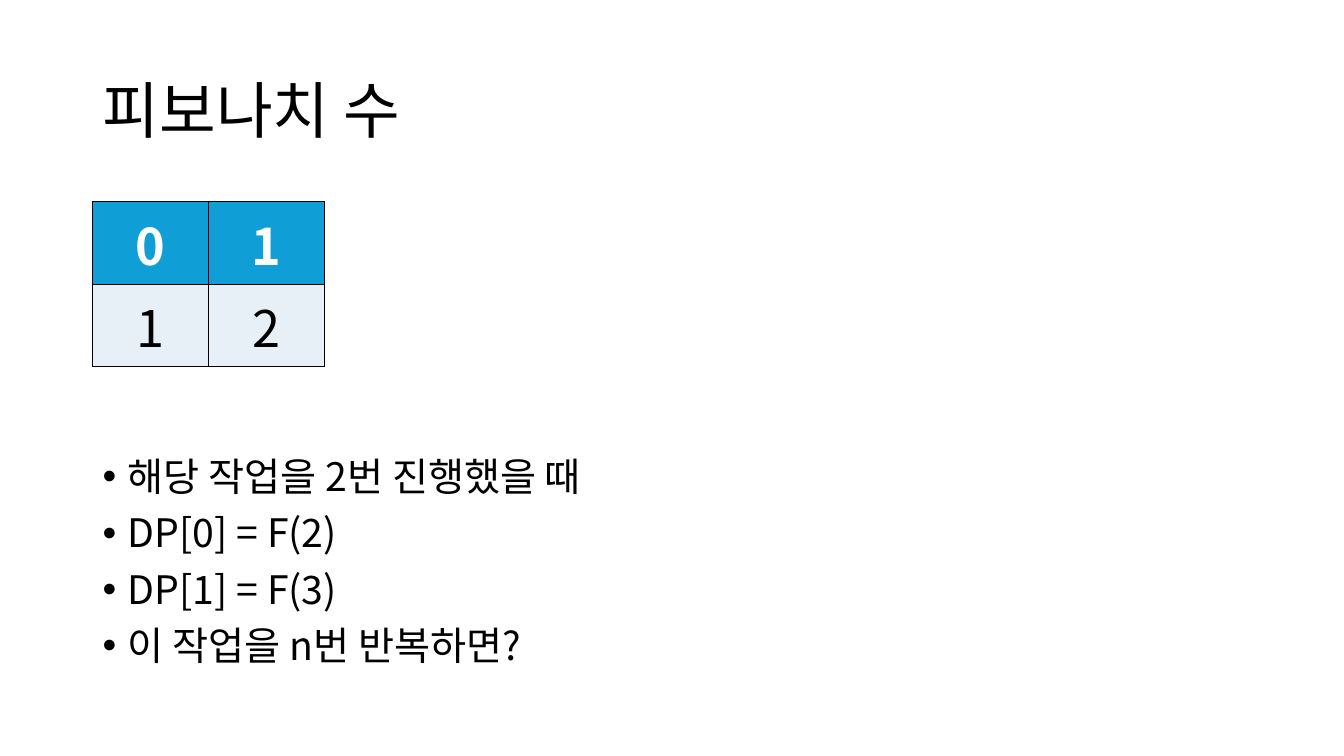
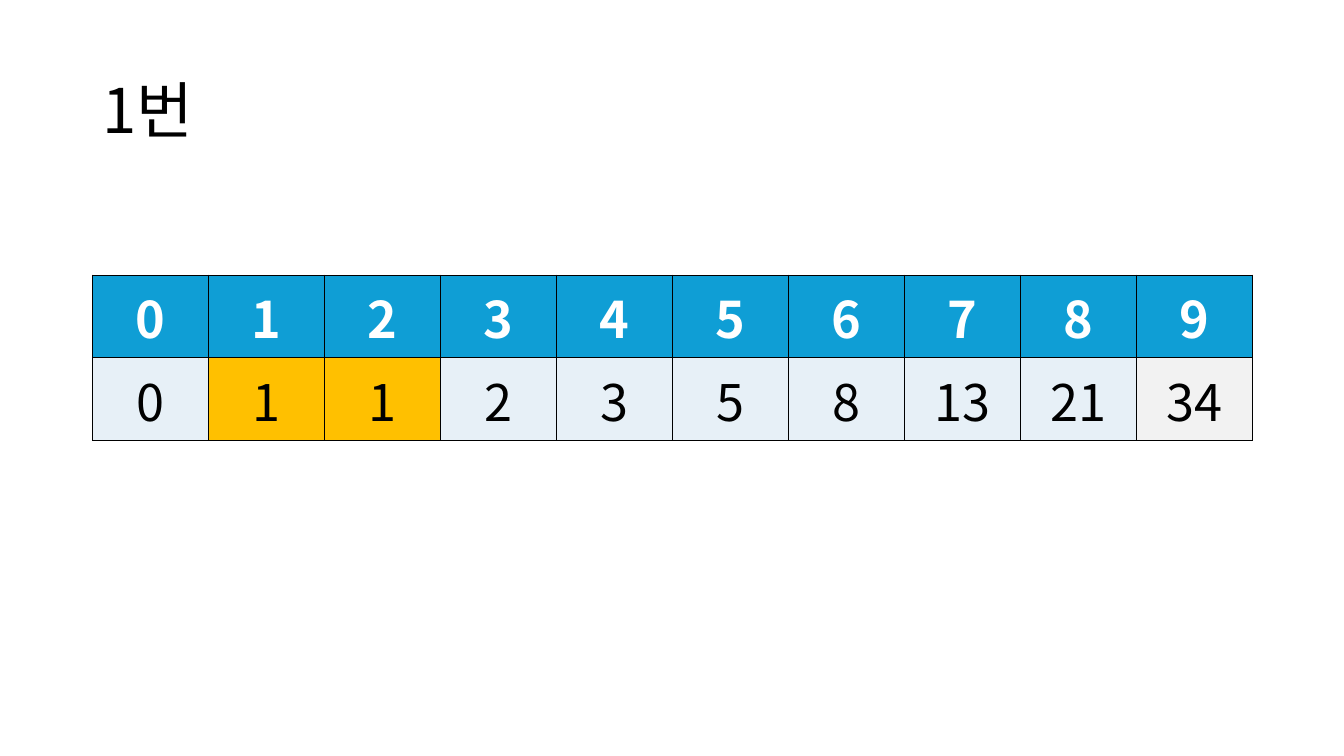
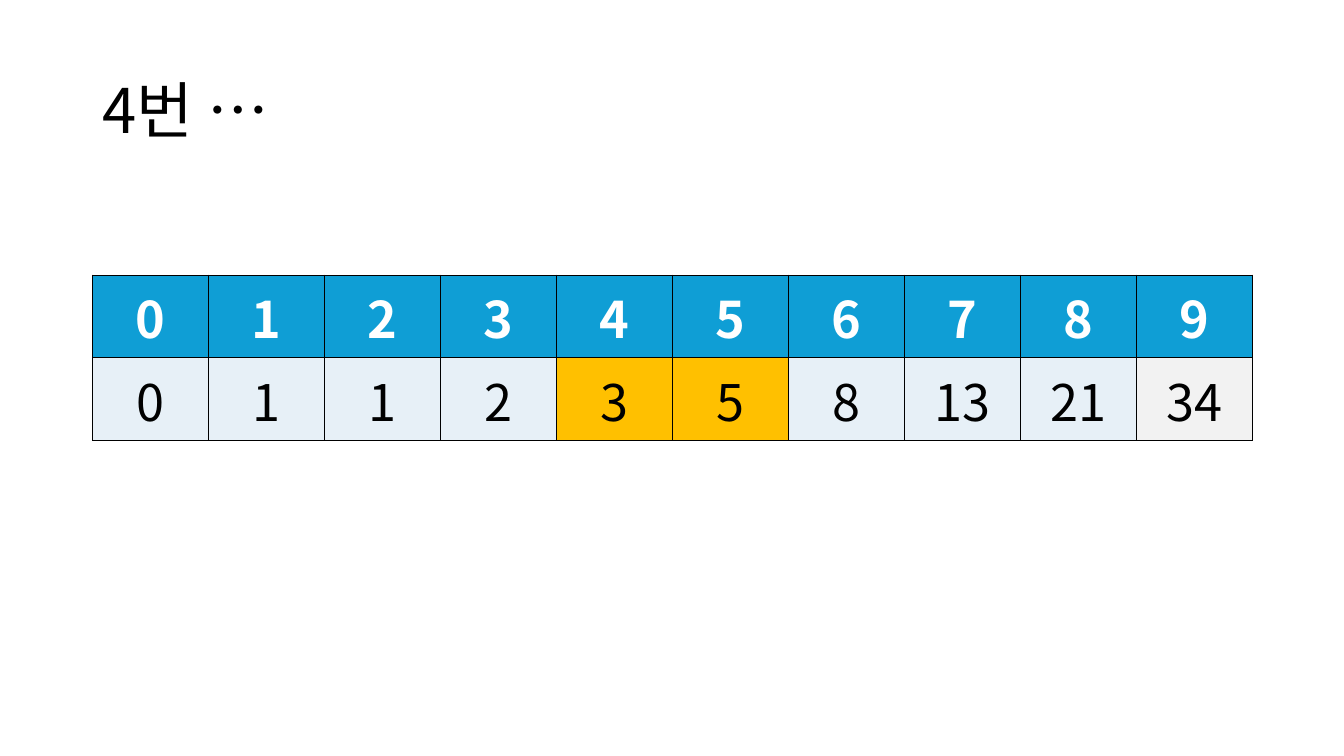
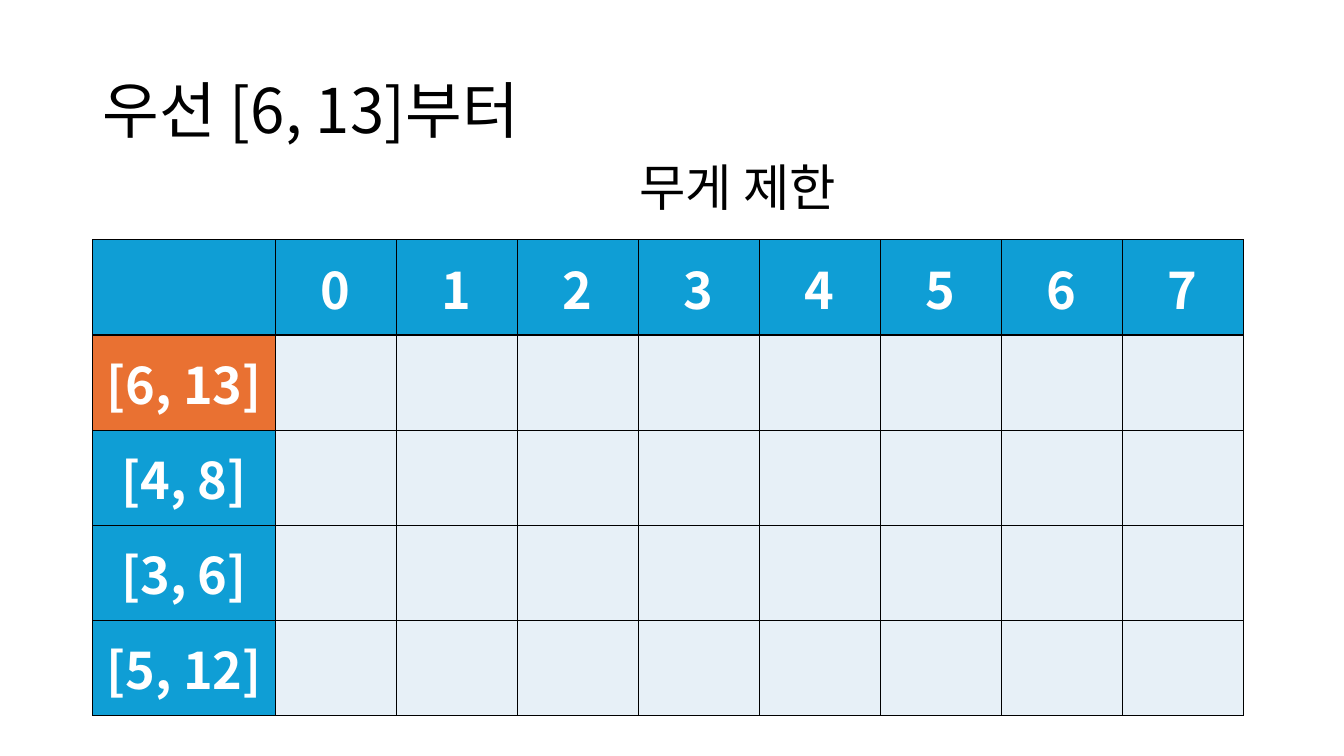
"""Build four slides on Fibonacci and knapsack tables."""
from dataclasses import dataclass, field

from lxml.etree import SubElement
from pptx import Presentation
from pptx.dml.color import RGBColor
from pptx.enum.text import MSO_ANCHOR, MSO_AUTO_SIZE, PP_ALIGN
from pptx.oxml.ns import qn
from pptx.slide import Slide
from pptx.table import _Cell
from pptx.text.text import TextFrame, _Paragraph
from pptx.util import Emu, Inches, Pt

FONT = "Noto Sans CJK KR"
BLACK = RGBColor(0x00, 0x00, 0x00)
WHITE = RGBColor(0xFF, 0xFF, 0xFF)
BLUE = RGBColor(0x0F, 0x9E, 0xD5)
PALE = RGBColor(0xE7, 0xF0, 0xF7)
GREY = RGBColor(0xF2, 0xF2, 0xF2)
GOLD = RGBColor(0xFF, 0xC0, 0x00)
RUST = RGBColor(0xE9, 0x71, 0x32)

WIDE, HIGH = 13.33, 7.5
LEFT = 0.92
SPAN = WIDE - 2 * LEFT
UNIT = 1.15
LINE = 0.82


@dataclass
class Box:
    lines: list[str]
    top: float
    high: float
    left: float = LEFT
    wide: float = SPAN
    size: int = 28
    mid: bool = False
    list: bool = False
    tight: bool = False


@dataclass
class Grid:
    rows: list[list[str]]
    top: float
    high: float = LINE
    col: float = UNIT
    first: float = UNIT
    side: bool = False
    marks: dict[tuple[int, int], RGBColor] = field(default_factory=dict)


@dataclass
class Page:
    title: str
    grid: Grid
    notes: list[Box] = field(default_factory=list)


def style(para: _Paragraph, size: int, ink: RGBColor, bold: bool = False) -> None:
    for run in para.runs:
        font = run.font
        font.size, font.bold, font.name = Pt(size), bold, FONT
        font.color.rgb = ink
        SubElement(run._r.get_or_add_rPr(), qn("a:ea"), typeface=FONT)


def bullet(para: _Paragraph) -> None:
    props = para._p.get_or_add_pPr()
    props.set("marL", str(Inches(0.25)))
    props.set("indent", str(-Inches(0.25)))
    SubElement(props, qn("a:buFont"), typeface="Arial")
    SubElement(props, qn("a:buChar"), char="•")


def fill(frame: TextFrame, box: Box) -> None:
    frame.text = "\n".join(box.lines)
    for num, para in enumerate(frame.paragraphs):
        if box.list:
            bullet(para)
            para.space_before = Pt(10 if num else 0)
        if not box.tight:
            para.line_spacing = 0.9
        style(para, box.size, BLACK)


def write(slide: Slide, box: Box) -> None:
    shape = slide.shapes.add_textbox(
        Inches(box.left), Inches(box.top), Inches(box.wide), Inches(box.high))
    frame = shape.text_frame
    frame.word_wrap = True
    frame.vertical_anchor = MSO_ANCHOR.MIDDLE if box.mid else MSO_ANCHOR.TOP
    if box.tight:
        frame.auto_size = MSO_AUTO_SIZE.SHAPE_TO_FIT_TEXT
    fill(frame, box)


def edge(cell: _Cell) -> None:
    props = cell._tc.get_or_add_tcPr()
    for side in ("lnL", "lnR", "lnT", "lnB"):
        line = SubElement(props, qn(f"a:{side}"), w=str(Pt(1)))
        paint = SubElement(line, qn("a:solidFill"))
        SubElement(paint, qn("a:srgbClr"), val=str(BLACK))


def paint(cell: _Cell, text: str, back: RGBColor, head: bool) -> None:
    edge(cell)
    cell.fill.solid()
    cell.fill.fore_color.rgb = back
    cell.vertical_anchor = MSO_ANCHOR.MIDDLE
    cell.text_frame.text = text
    para = cell.text_frame.paragraphs[0]
    para.alignment = PP_ALIGN.CENTER
    style(para, 36, WHITE if head else BLACK, head)


def draw(slide: Slide, grid: Grid) -> None:
    down, over = len(grid.rows), len(grid.rows[0])
    wide = grid.first + grid.col * (over - 1)
    table = slide.shapes.add_table(
        down, over, Inches(LEFT), Inches(grid.top),
        Inches(wide), Inches(grid.high * down)).table
    for num, col in enumerate(table.columns):
        col.width = Inches(grid.col if num else grid.first)
    for y, row in enumerate(grid.rows):
        table.rows[y].height = Inches(grid.high)
        for x, text in enumerate(row):
            head = y == 0 or (grid.side and x == 0)
            back = grid.marks.get((y, x), BLUE if head else PALE)
            paint(table.cell(y, x), text, back, head)


def count(size: int) -> list[str]:
    return [str(num) for num in range(size)]


def series(title: str, start: int) -> Page:
    nums = [0, 1]
    while len(nums) < 10:
        nums.append(nums[-2] + nums[-1])
    marks = {(1, start): GOLD, (1, start + 1): GOLD, (1, 9): GREY}
    rows = [count(10), [str(num) for num in nums]]
    return Page(title, Grid(rows, 2.73, marks=marks))


def main() -> None:
    steps = ["해당 작업을 2번 진행했을 때", "DP[0] = F(2)", "DP[1] = F(3)",
             "이 작업을 n번 반복하면?"]
    items = ["[6, 13]", "[4, 8]", "[3, 6]", "[5, 12]"]
    sack = [["", *count(8)]] + [[item, *[""] * 8] for item in items]
    pages = [
        Page("피보나치 수", Grid([count(2), ["1", "2"]], 2),
             [Box(steps, 4.49, 2.27, list=True)]),
        series("1번", 1),
        series("4번 …", 4),
        Page("우선 [6, 13]부터",
             Grid(sack, 2.38, 4.72 / len(sack), 1.2, 1.81, True, {(1, 0): RUST}),
             [Box(["무게 제한"], 1.5, 0.71, 6.24, 2.6, 36, tight=True)]),
    ]
    deck = Presentation()
    deck.slide_width, deck.slide_height = Emu(Inches(WIDE)), Emu(Inches(HIGH))
    for page in pages:
        slide = deck.slides.add_slide(deck.slide_layouts[6])
        write(slide, Box([page.title], 0.4, 1.45, size=44, mid=True))
        draw(slide, page.grid)
        for note in page.notes:
            write(slide, note)
    deck.save("out.pptx")


if __name__ == "__main__":
    main()
